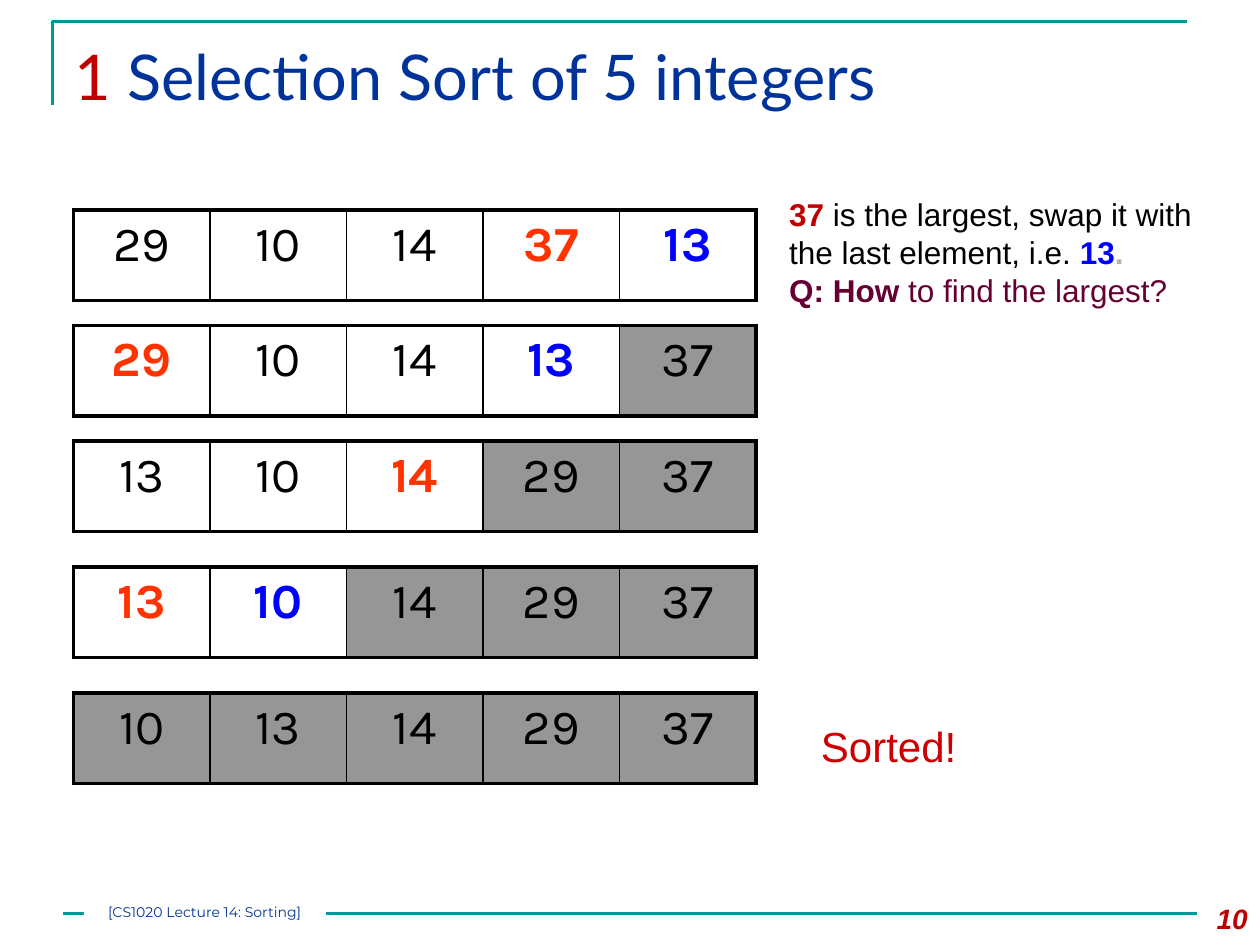
from dataclasses import dataclass

from pptx import Presentation
from pptx import util as u
from pptx.dml.color import RGBColor
from pptx.enum import shapes, text
from pptx.oxml.ns import qn
from lxml import etree


@dataclass(frozen=True)
class Theme:
    teal: str = "009999"
    navy: str = "003399"
    crimson: str = "C00000"
    red: str = "CC0000"
    largest: str = "FF3300"
    last: str = "0000FF"
    plum: str = "660033"
    black: str = "000000"
    white: str = "FFFFFF"
    sorted_fill: str = "969696"
    pale: str = "B2B2B2"
    body_font: str = "Arial"
    title_font: str = "Lato"
    cell_font: str = "Karla"
    footer_font: str = "Montserrat"
    title_size: int = 36
    cell_size: int = 28
    result_size: int = 24
    note_size: int = 18
    number_size: int = 16
    footer_size: int = 8
    rule_width: float = 1.5
    outer_width: float = 2.25
    inner_width: float = 1


THEME = Theme()


def color(value):
    return RGBColor.from_string(value)


def write(para, words, size, fill, font=THEME.body_font, bold=False, italic=False):
    span = para.add_run()
    span.text = words
    span.font.size = u.Pt(size)
    span.font.name = font
    span.font.bold = bold
    span.font.italic = italic
    span.font.color.rgb = color(fill)
    return span


def add_text_box(page, left, top, width, height, wrap=True):
    box = page.shapes.add_textbox(u.Cm(left), u.Cm(top), u.Cm(width), u.Cm(height))
    box.text_frame.word_wrap = wrap
    return box.text_frame


def style_rule(line):
    line.color.rgb = color(THEME.teal)
    line.width = u.Pt(THEME.rule_width)


def add_header(page, left, top, width, height):
    start = u.Cm(left), u.Cm(top + height)
    builder = page.shapes.build_freeform(*start, scale=1.0)
    builder.add_line_segments(
        [(u.Cm(left), u.Cm(top)), (u.Cm(left + width), u.Cm(top))], close=False
    )
    corner = builder.convert_to_shape()
    corner.fill.background()
    corner.shadow.inherit = False
    style_rule(corner.line)

    frame = add_text_box(page, left + 0.2, top + 0.2, width, 2.18)
    para = frame.paragraphs[0]
    title = {"size": THEME.title_size, "font": THEME.title_font}
    write(para, "1 ", fill=THEME.crimson, **title)
    write(para, "Selection Sort of 5 integers", fill=THEME.navy, **title)


def add_footer(page, left, middle, width):
    rule = page.shapes.add_connector(
        shapes.MSO_CONNECTOR.STRAIGHT,
        u.Cm(left), u.Cm(middle), u.Cm(left + width), u.Cm(middle),
    )
    style_rule(rule.line)
    etree.SubElement(rule._element.spPr, qn("a:effectLst"))

    label = page.shapes.add_shape(
        shapes.MSO_SHAPE.RECTANGLE,
        u.Cm(left + 0.42), u.Cm(middle - 0.21), u.Cm(4.88), u.Cm(0.42),
    )
    label.shadow.inherit = False
    label.fill.solid()
    label.fill.fore_color.rgb = color(THEME.white)
    label.line.fill.background()
    frame = label.text_frame
    frame.margin_left = frame.margin_right = frame.margin_top = frame.margin_bottom = 0
    frame.vertical_anchor = text.MSO_ANCHOR.TOP
    para = frame.paragraphs[0]
    para.alignment = text.PP_ALIGN.CENTER
    write(para, "[CS1020 Lecture 14: Sorting]", THEME.footer_size, THEME.navy,
          font=THEME.footer_font)

    number = add_text_box(page, left + width - 0.43, middle - 0.38, 1.7, 1.02)
    para = number.paragraphs[0]
    para.alignment = text.PP_ALIGN.RIGHT
    write(para, "10", THEME.number_size, THEME.crimson, bold=True, italic=True)


def set_border(cell, side, width):
    line = etree.SubElement(
        cell._tc.get_or_add_tcPr(), qn(f"a:ln{side}"), w=str(u.Pt(width))
    )
    fill = etree.SubElement(line, qn("a:solidFill"))
    etree.SubElement(fill, qn("a:srgbClr"), val=THEME.black)


def add_array(page, left, top, width, height, values, unsorted, largest):
    count = len(values)
    table = page.shapes.add_table(
        1, count, u.Cm(left), u.Cm(top), u.Cm(width), u.Cm(height)
    ).table
    table.first_row = table.horz_banding = False
    for index, value in enumerate(values):
        cell = table.cell(0, index)
        outer, inner = THEME.outer_width, THEME.inner_width
        set_border(cell, "L", outer if index == 0 else inner)
        set_border(cell, "R", outer if index == count - 1 else inner)
        set_border(cell, "T", outer)
        set_border(cell, "B", outer)
        if index < unsorted:
            cell.fill.background()
        else:
            cell.fill.solid()
            cell.fill.fore_color.rgb = color(THEME.sorted_fill)
        ink = THEME.black
        if index == largest:
            ink = THEME.largest
        elif index == unsorted - 1:
            ink = THEME.last
        para = cell.text_frame.paragraphs[0]
        para.alignment = text.PP_ALIGN.CENTER
        write(para, str(value), THEME.cell_size, ink, font=THEME.cell_font,
              bold=ink != THEME.black)


def add_passes(page, left, width, height, tops, values):
    for step, top in enumerate(tops):
        unsorted = len(values) - step
        if unsorted == 1:
            add_array(page, left, top, width, height, values, 0, None)
            break
        largest = values.index(max(values[:unsorted]))
        add_array(page, left, top, width, height, values, unsorted, largest)
        last = unsorted - 1
        values[largest], values[last] = values[last], values[largest]


def add_note(page, left, top, width, height):
    frame = add_text_box(page, left, top, width, height)
    size = THEME.note_size
    para = frame.paragraphs[0]
    write(para, "37 ", size, THEME.crimson, bold=True)
    write(para, "is the largest, swap it with the last element, i.e. ", size, THEME.black)
    write(para, "13", size, THEME.last, bold=True)
    write(para, ".", size, THEME.pale, bold=True)
    question = frame.add_paragraph()
    write(question, "Q: How ", size, THEME.plum, bold=True)
    write(question, "to find the largest?", size, THEME.plum)


def add_result(page, left, top, width, height):
    frame = add_text_box(page, left, top, width, height, wrap=False)
    write(frame.paragraphs[0], "Sorted!", THEME.result_size, THEME.red)


def main():
    deck = Presentation()
    deck.slide_width, deck.slide_height = u.Cm(25.4), u.Cm(19.05)
    page = deck.slides.add_slide(deck.slide_layouts[6])
    add_header(page, 1.06, 0.43, 22.86, 1.69)
    add_footer(page, 1.27, 18.42, 22.86)
    add_passes(page, 1.48, 13.76, 1.83, [4.23, 6.56, 8.89, 11.43, 13.97],
               [29, 10, 14, 37, 13])
    add_note(page, 15.66, 3.81, 8.89, 2.54)
    add_result(page, 16.3, 14.4, 3.28, 1.27)
    deck.save("out.pptx")


if __name__ == "__main__":
    main()
